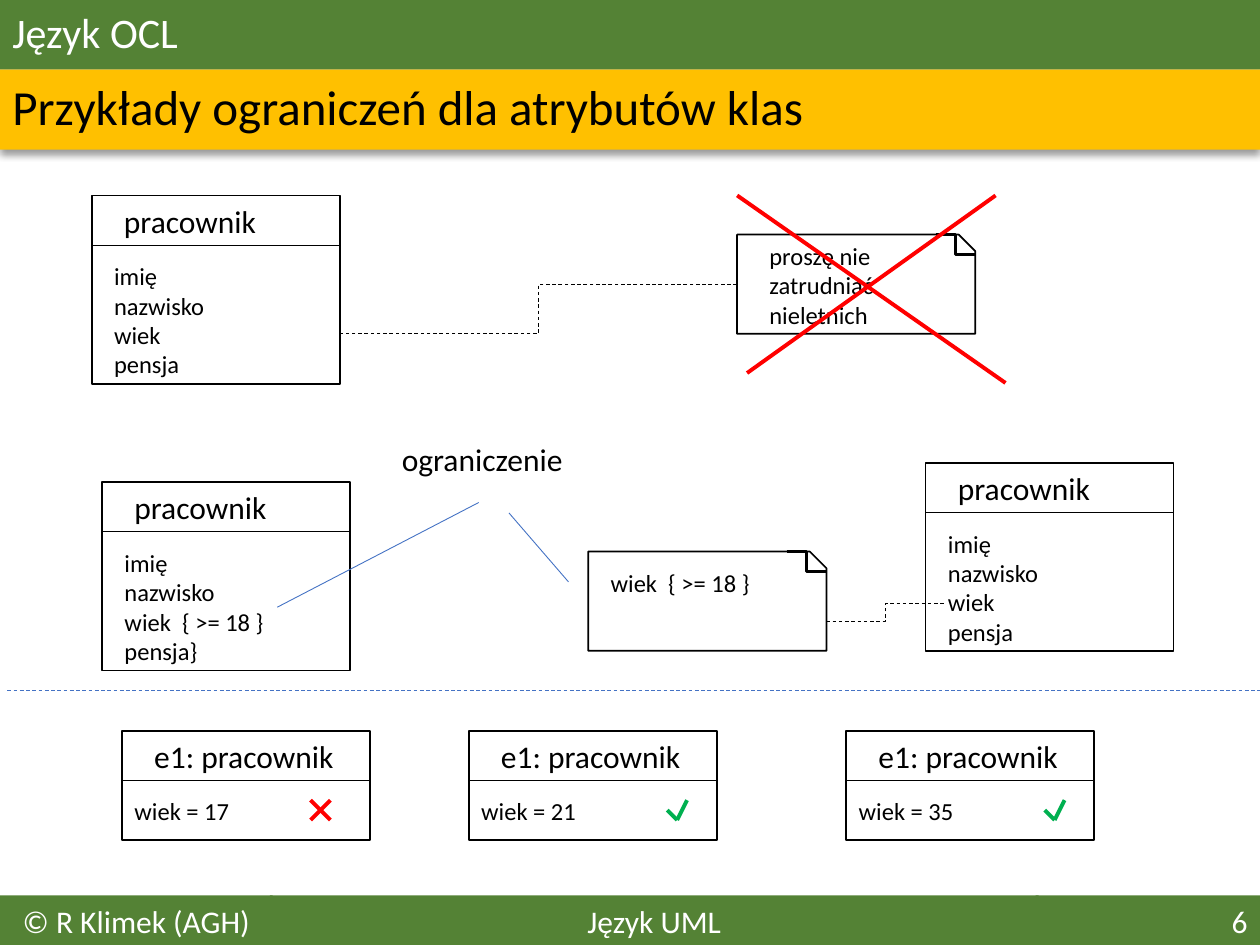
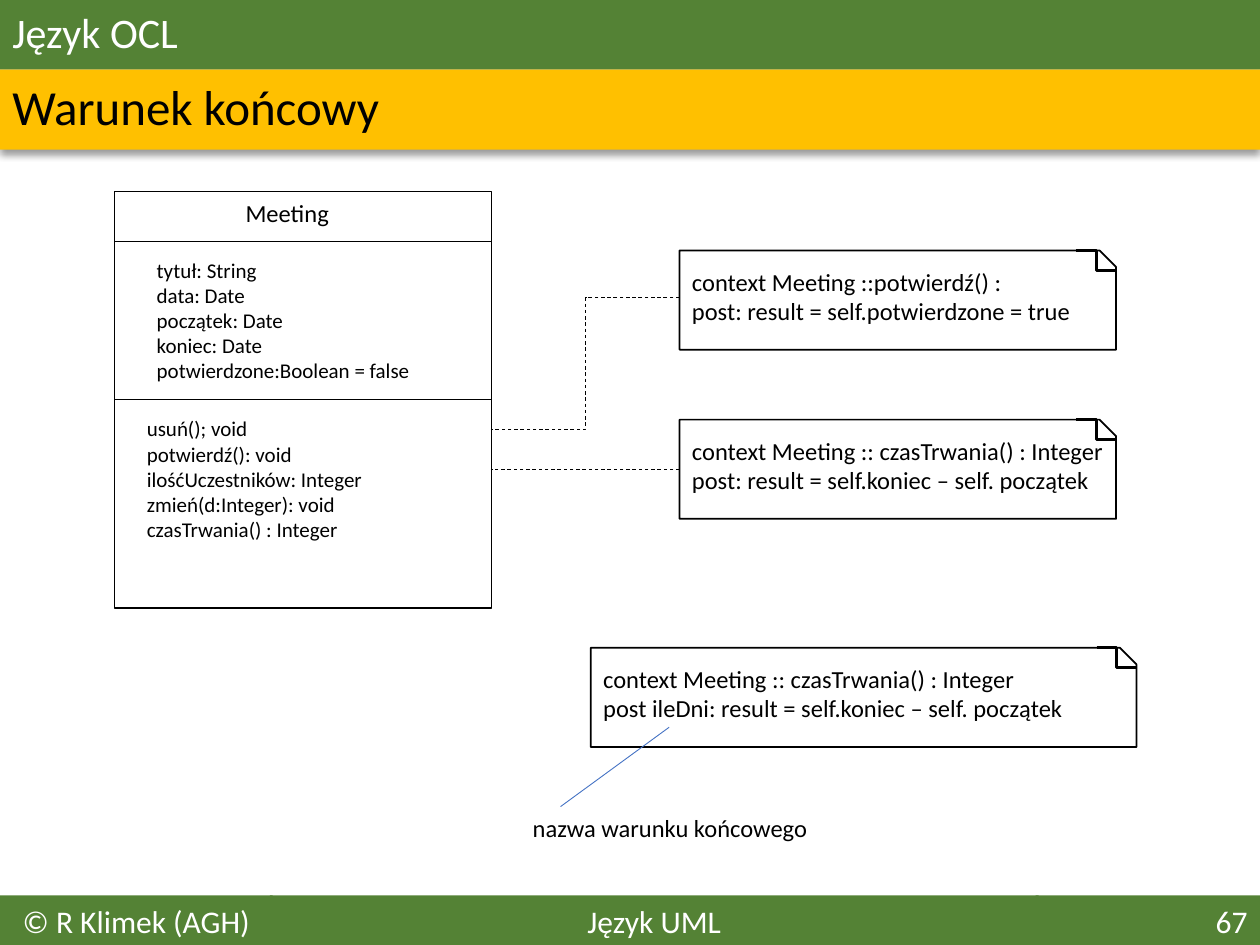
"""Builds two slides on OCL constraints with UML class boxes and notes."""
from lxml.etree import SubElement
from pptx import Presentation
from pptx.dml.color import RGBColor
from pptx.enum.dml import MSO_LINE
from pptx.enum.shapes import MSO_CONNECTOR as Link, MSO_SHAPE as Shape
from pptx.enum.text import MSO_ANCHOR as Anchor, MSO_AUTO_SIZE as Fit, PP_ALIGN as Align
from pptx.oxml.ns import qn
from pptx.util import Cm, Pt

COLORS = {"green": "548235", "amber": "FFC000", "white": "FFFFFF", "black": "000000",
          "blue": "4472C4", "red": "FF0000", "check": "00B050"}
FONT = "Calibri"
PAGE_WIDTH, PAGE_HEIGHT = 25.4, 19.05
HEADER = 1


def color(name):
    """Return the named colour."""
    return RGBColor.from_string(COLORS[name])


class Diagram:
    """Holds the deck, the shared style and the current page."""

    def __init__(self):
        """Open an empty deck of the right size."""
        self.deck = Presentation()
        self.deck.slide_width, self.deck.slide_height = Cm(PAGE_WIDTH), Cm(PAGE_HEIGHT)
        self.page = None

    def new_page(self, heading, number):
        """Start a page with its bands, heading and footer."""
        self.page = self.deck.slides.add_slide(self.deck.slide_layouts[6])
        band = self.shape(0, 1.4, PAGE_WIDTH, 1.62, fill="amber")
        self.drop_shadow(band)
        self.set_text(band, [heading], 28, anchor=Anchor.MIDDLE, spacing=0.9)
        title = self.shape(0, 0, PAGE_WIDTH, 1.4, fill="green")
        self.set_text(title, ["Język OCL"], 24, "white", anchor=Anchor.MIDDLE, spacing=0.9)
        footers = [(5.44, 15.5, "Język UML", Align.CENTER),
                   (0, 5.5, "© R Klimek (AGH)", Align.CENTER),
                   (20.88, 4.52, str(number), Align.RIGHT)]
        for left, width, text, align in footers:
            footer = self.shape(left, 18.05, width, 1, fill="green")
            self.set_text(footer, [text], 18, "white", align)

    def drop_shadow(self, shape):
        """Put a soft shadow below a shape."""
        effects = shape.element.spPr.find(qn("a:effectLst"))
        shadow = SubElement(effects, qn("a:outerShdw"), blurRad=str(Pt(4)), dist=str(Pt(3)),
                            dir="5400000", algn="t", rotWithShape="0")
        tint = SubElement(shadow, qn("a:srgbClr"), val=COLORS["black"])
        SubElement(tint, qn("a:alpha"), val="40000")

    def shape(self, left, top, width, height, kind=Shape.RECTANGLE, fill=None, line=None):
        """Add a preset shape."""
        shape = self.page.shapes.add_shape(kind, Cm(left), Cm(top), Cm(width), Cm(height))
        shape.shadow.inherit = False
        if fill:
            shape.fill.solid()
            shape.fill.fore_color.rgb = color(fill)
        else:
            shape.fill.background()
        if line:
            shape.line.color.rgb = color(line)
            shape.line.width = Pt(1)
        else:
            shape.line.fill.background()
        return shape

    def set_text(self, shape, lines, size, ink="black", align=Align.LEFT,
                 anchor=Anchor.TOP, spacing=None, wrap=True):
        """Fill a shape with one paragraph per line."""
        frame = shape.text_frame
        frame.word_wrap = wrap
        frame.vertical_anchor = anchor
        frame.text = "\n".join(lines)
        for para in frame.paragraphs:
            para.alignment = align
            para.line_spacing = spacing
            para.font.name, para.font.size = FONT, Pt(size)
            para.font.color.rgb = color(ink)

    def label(self, left, top, width, lines, size=14, wrap=False):
        """Add a text box that is as high as its lines."""
        height = 0.043 * size * len(lines) + 0.25
        box = self.page.shapes.add_textbox(Cm(left), Cm(top), Cm(width), Cm(height))
        self.set_text(box, lines, size, wrap=wrap)
        box.text_frame.auto_size = Fit.SHAPE_TO_FIT_TEXT

    def line(self, start, end, ink="black", weight=0.5, dashed=False, kind=Link.STRAIGHT):
        """Connect two points."""
        link = self.page.shapes.add_connector(kind, *(Cm(value) for value in (*start, *end)))
        link.line.color.rgb = color(ink)
        link.line.width = Pt(weight)
        if dashed:
            link.line.dash_style = MSO_LINE.DASH
        SubElement(link.element.spPr, qn("a:effectLst"))

    def frame(self, left, top, width, height, dividers):
        """Add a class outline with its dividing lines."""
        self.shape(left, top, width, height, line="black")
        for offset in dividers:
            self.line((left, top + offset), (left + width, top + offset))

    def employee(self, left, top, attributes):
        """Add the employee class."""
        self.frame(left, top, 5, 3.8, [HEADER])
        self.label(left + 0.4, top, 3.2, ["pracownik"], 18)
        width = 3.33 if "{" in "".join(attributes) else 2.34
        self.label(left + 0.2, top + 1.2, width, attributes)

    def instance(self, left, top, age, valid):
        """Add an employee object with a check or a cross."""
        self.frame(left, top, 5, 2.2, [HEADER])
        self.label(left + 0.4, top, 4.17, ["e1: pracownik"], 18)
        self.label(left, top + 1.2, 2.44, [f"wiek = {age}"])
        if valid:
            ink, strokes = "check", [(4, 1.6, 4.2, 1.8), (4.2, 1.8, 4.4, 1.4)]
        else:
            ink, strokes = "red", [(3.8, 1.4, 4.2, 1.8), (3.8, 1.8, 4.2, 1.4)]
        for x1, y1, x2, y2 in strokes:
            self.line((left + x1, top + y1), (left + x2, top + y2), ink, 2.25)

    def note(self, left, top, width, lines, indent=0, drop=0.2, text_width=None):
        """Add a note with a folded corner."""
        sheet = self.shape(left, top, width, 2, Shape.SNIP_1_RECTANGLE, "white", "black")
        sheet.adjustments[0] = 0.167
        right = left + width
        self.line((right - 0.8, top), (right, top + 0.4), weight=1.5, kind=Link.ELBOW)
        self.label(left + indent, top + drop, text_width or width + 0.07, lines, wrap=True)


def attribute_constraints(diagram):
    """Draw the page on attribute constraints."""
    diagram.new_page("Przykłady ograniczeń dla atrybutów klas", 6)
    plain = ["imię", "nazwisko", "wiek", "pensja"]
    diagram.employee(1.85, 3.94, plain)
    diagram.note(14.86, 4.73, 4.8, ["proszę nie zatrudniać nieletnich"], 0.4, 0, 3.96)
    diagram.line((14.86, 5.73), (6.85, 6.73), dashed=True, kind=Link.ELBOW)
    diagram.employee(2.06, 9.72, ["imię", "nazwisko", "wiek  { >= 18 }", "pensja}"])
    diagram.label(7.85, 8.74, 3.78, ["ograniczenie"], 18)
    diagram.line((9.65, 10.13), (5.59, 12.24), "blue")
    diagram.employee(18.66, 9.33, plain)
    diagram.note(11.86, 11.12, 4.8, ["wiek  { >= 18 }"], 0.2, 0.2, 3.96)
    diagram.line((16.66, 12.52), (19.05, 12.17), dashed=True, kind=Link.ELBOW)
    diagram.line((10.26, 10.34), (11.46, 11.73), "blue")
    diagram.line((20.07, 3.94), (15.06, 7.52), "red", 2.25)
    diagram.line((14.86, 3.94), (20.27, 7.72), "red", 2.25)
    for left, age in [(2.46, 17), (9.45, 21), (17.06, 35)]:
        diagram.instance(left, 14.73, age, age >= 18)
    diagram.line((0.15, 13.92), (25.4, 13.92), "blue", dashed=True)


def postcondition(diagram):
    """Draw the page on postconditions."""
    diagram.new_page("Warunek końcowy", 67)
    left, top, width = 2.31, 3.86, 7.6
    diagram.frame(left, top, width, 8.4, [HEADER, 4.2])
    diagram.label(left + 2.39, top, 2.21, ["Meeting"])
    diagram.label(left + 0.6, top + 1.2, 6.6, [
        "tytuł: String", "data: Date", "początek: Date", "koniec: Date",
        "potwierdzone:Boolean = false"], 12, wrap=True)
    diagram.label(left + 0.4, top + 4.4, 7.2, [
        "usuń(); void", "potwierdź(): void", "ilośćUczestników: Integer",
        "zmień(d:Integer): void", "czasTrwania() : Integer"], 12, wrap=True)
    duration = "context Meeting :: czasTrwania() : Integer"
    result = "result = self.koniec – self. początek"
    note_left, right = 13.7, left + width
    diagram.note(note_left, 8.46, 8.8, [duration, f"post: {result}"])
    diagram.note(11.91, 13.06, 11, [duration, f"post ileDni: {result}"])
    diagram.note(note_left, 5.05, 8.8, ["context Meeting ::potwierdź() :",
                                        "post: result = self.potwierdzone = true"])
    diagram.line((note_left, 9.46), (right, 9.46), dashed=True)
    diagram.line((note_left, 6), (right, 8.66), dashed=True, kind=Link.ELBOW)
    diagram.line((13.49, 14.66), (11.3, 16.26), "blue")
    diagram.label(10.49, 16.26, 6.1, ["nazwa warunku końcowego"])


def main():
    """Build and save the deck."""
    diagram = Diagram()
    attribute_constraints(diagram)
    postcondition(diagram)
    diagram.deck.save("out.pptx")


if __name__ == "__main__":
    main()
